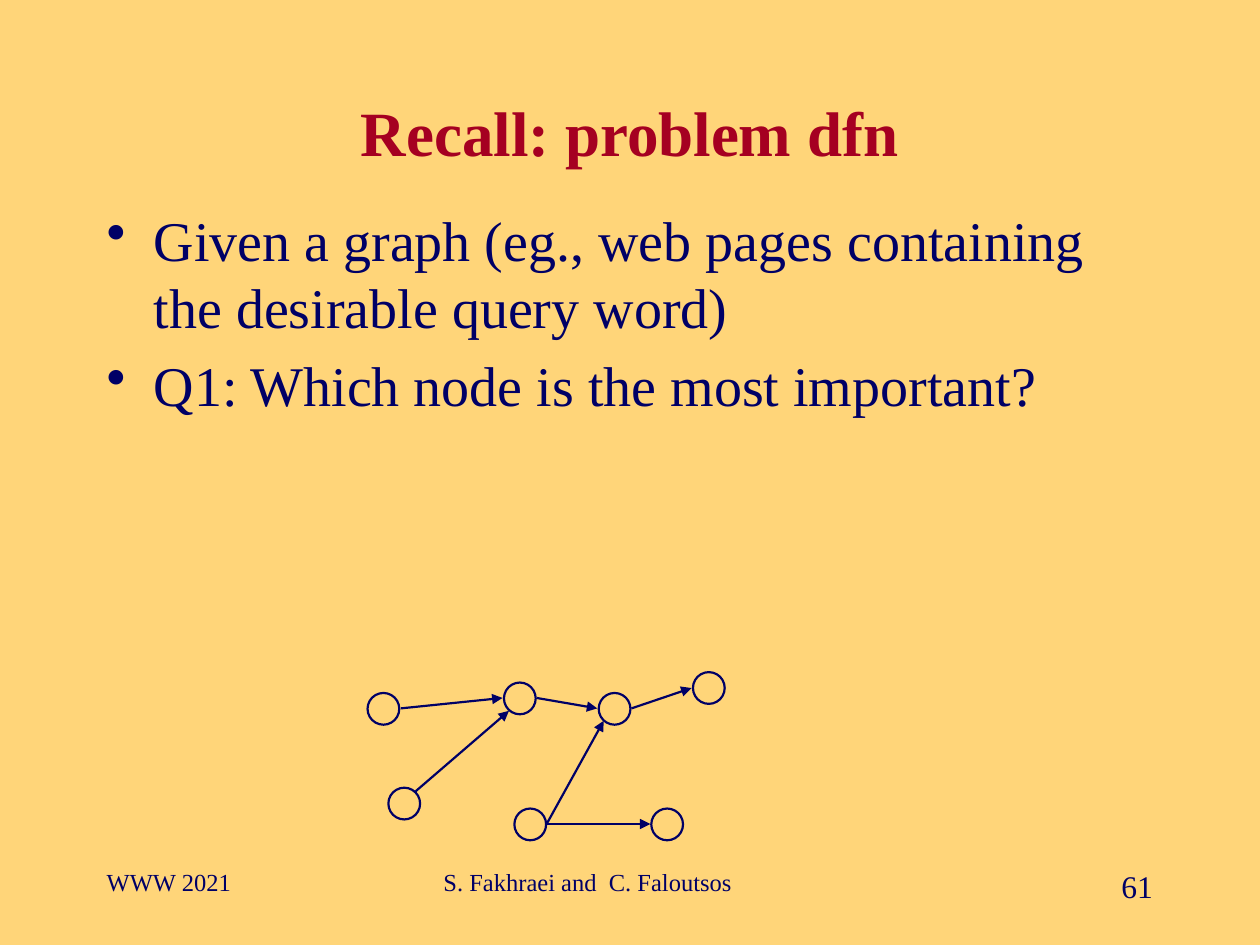
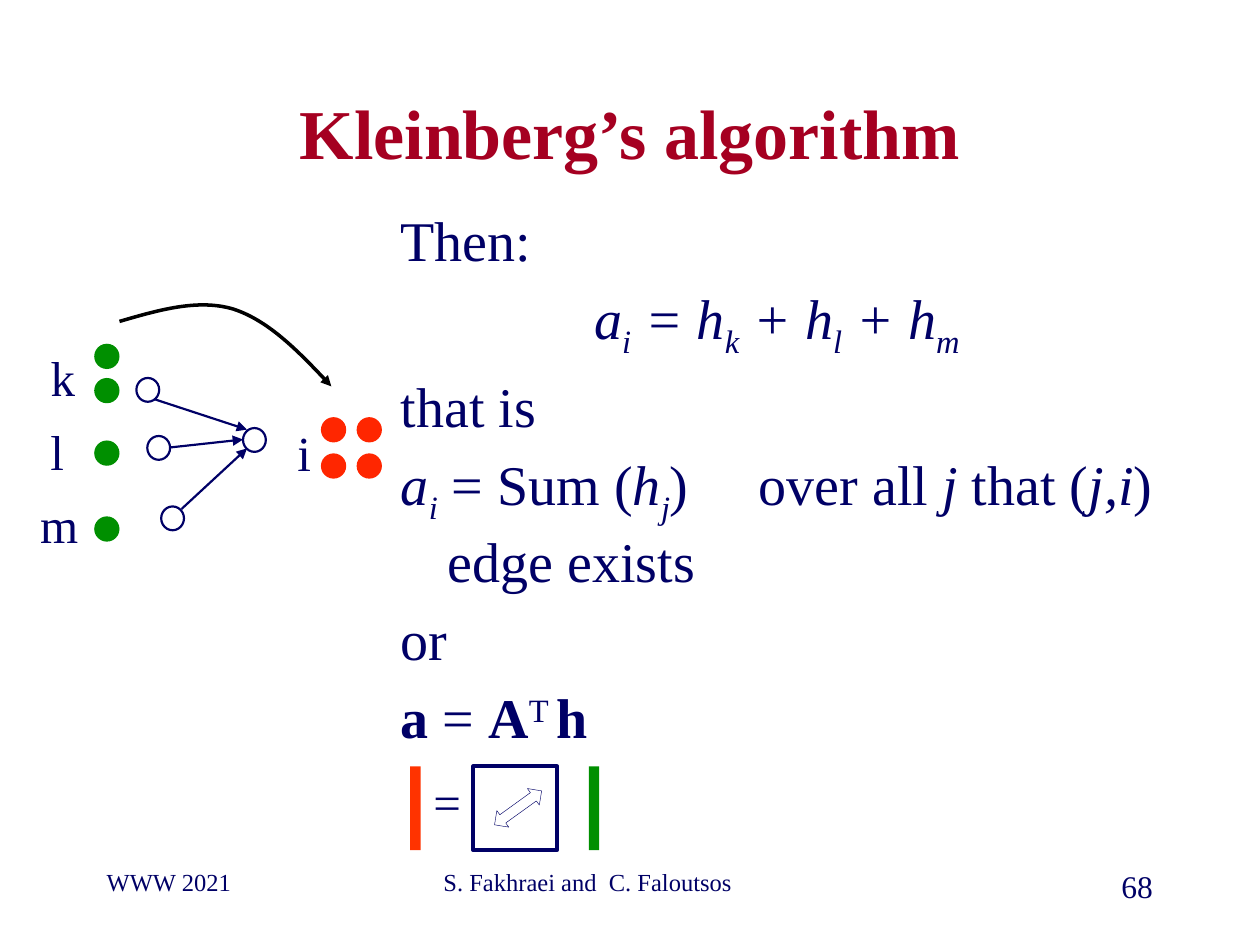
from lxml import etree
from pptx import Presentation
from pptx.dml.color import RGBColor
from pptx.enum.shapes import MSO_CONNECTOR, MSO_SHAPE
from pptx.enum.text import MSO_ANCHOR, PP_ALIGN
from pptx.oxml.ns import qn
from pptx.util import Cm, Pt

SAND = RGBColor(0xFF, 0xD5, 0x79)
WHITE = RGBColor(0xFF, 0xFF, 0xFF)
BLACK = RGBColor(0, 0, 0)
NAVY = RGBColor(0, 0, 0x66)
WINE = RGBColor(0xA5, 0, 0x21)
GREEN = RGBColor(0, 0x8F, 0)
RED = RGBColor(0xFF, 0x26, 0)
FLAME = RGBColor(0xFF, 0x33, 0)

LEFT, CENTER, RIGHT = PP_ALIGN.LEFT, PP_ALIGN.CENTER, PP_ALIGN.RIGHT
TOP, MIDDLE = MSO_ANCHOR.TOP, MSO_ANCHOR.MIDDLE
OVAL, RECT = MSO_SHAPE.OVAL, MSO_SHAPE.RECTANGLE
ARROW = MSO_SHAPE.LEFT_RIGHT_ARROW
STRAIGHT = MSO_CONNECTOR.STRAIGHT

FACE = "Times New Roman"
THIN = 1.25

# Run formats
PLAIN = {}
BOLD = {"bold": True}
ITAL = {"italic": True}
SUB = {"italic": True, "base": -25}
SUP = {"base": 30}
WIDE = {"gap": 32}


class Deck:
    """Holds the shared style and the current slide."""

    def __init__(self):
        self.prs = Presentation()
        self.prs.slide_width, self.prs.slide_height = Cm(25.4), Cm(19.05)

    def page(self, title, size, number, back):
        """Start a slide with its background, title and footers."""
        self.slide = self.prs.slides.add_slide(self.prs.slide_layouts[6])
        self.shapes = self.slide.shapes
        fill = self.slide.background.fill
        fill.solid()
        fill.fore_color.rgb = back
        self.text((1.9, 17.35, 5.28, 1.27), "WWW 2021", 14)
        self.text((8.69, 17.35, 8.05, 1.27), "S. Fakhraei and  C. Faloutsos", 14)
        self.text((18.21, 17.35, 5.28, 1.27), number, 18, RIGHT)
        self.text((1.9, 1.7, 21.59, 1.9), title, size, CENTER, MIDDLE, WINE, BOLD)

    def frame(self, box, anchor=TOP, wrap=True):
        frame = self.shapes.add_textbox(*map(Cm, box)).text_frame
        frame.word_wrap, frame.vertical_anchor = wrap, anchor
        return frame

    def run(self, para, text, size, form=PLAIN, color=NAVY):
        run = para.add_run()
        run.text = text
        font = run.font
        font.color.rgb = color
        extra = {"base": ("baseline", 1000), "gap": ("spc", 100)}
        for key, val in {"name": FACE, "size": Pt(size), **form}.items():
            if key in extra:
                name, scale = extra[key]
                run._r.get_or_add_rPr().set(name, str(val * scale))
            else:
                setattr(font, key, val)

    def text(self, box, text, size, align=LEFT, anchor=TOP, color=NAVY,
             form=PLAIN, wrap=True):
        para = self.frame(box, anchor, wrap).paragraphs[0]
        para.alignment = align
        self.run(para, text, size, form, color)

    def body(self, box, paras, bullet=False):
        """Hanging paragraphs, each an alignment and a list of runs."""
        frame = self.frame(box)
        for num, (align, runs) in enumerate(paras):
            para = frame.add_paragraph() if num else frame.paragraphs[0]
            props = para._p.get_or_add_pPr()
            props.set("marL", str(Cm(0.95)))
            props.set("indent", str(Cm(-0.95)))
            if bullet:
                etree.SubElement(props, qn("a:buChar")).set("char", "•")
            para.alignment = align
            if num:
                para.space_before = Pt(6.4)
            for text, form in runs:
                self.run(para, text, 32, form)

    def shape(self, kind, box, fill=None, line=None, width=THIN, turn=0):
        shape = self.shapes.add_shape(kind, *map(Cm, box))
        shape.shadow.inherit = False
        shape.rotation = turn
        self.paint(shape, fill, line, width)

    def paint(self, shape, fill, line, width):
        for part, color in ((shape.fill, fill), (shape.line.fill, line)):
            if color is None:
                part.background()
            else:
                part.solid()
                part.fore_color.rgb = color
        if line is not None:
            shape.line.width = Pt(width)

    def head(self, shape):
        etree.SubElement(shape.line._get_or_add_ln(), qn("a:tailEnd")).set("type", "triangle")

    def edge(self, *ends):
        line = self.shapes.add_connector(STRAIGHT, *map(Cm, ends))
        line.line.color.rgb = NAVY
        line.line.width = Pt(THIN)
        self.head(line)
        etree.SubElement(line._element.spPr, qn("a:effectLst"))

    def graph(self, nodes, size, edges):
        for spot in nodes:
            self.shape(OVAL, (*spot, *size), line=NAVY)
        for ends in edges:
            self.edge(*ends)

    def dots(self, spots, color):
        for spot in spots:
            self.shape(OVAL, (*spot, 0.51, 0.51), color)

    def curve(self, points):
        """Cubic arrow: a start, then three points for each segment."""
        start, *rest = [(Cm(x), Cm(y)) for x, y in points]
        form = self.shapes.build_freeform(*start)
        form.add_line_segments(rest, close=False)
        shape = form.convert_to_shape()
        shape.shadow.inherit = False
        self.paint(shape, None, BLACK, 2)
        self.head(shape)
        steps = list(shape._element.iter(qn("a:lnTo")))
        for at in range(0, len(steps), 3):
            bend = etree.SubElement(steps[at].getparent(), qn("a:cubicBezTo"))
            for step in steps[at:at + 3]:
                bend.append(step[0])
                step.getparent().remove(step)


def recall(deck):
    deck.page("Recall: problem dfn", 36, "61", SAND)
    lines = ("Given a graph (eg., web pages containing the desirable query word)",
             "Q1: Which node is the most important?")
    deck.body((1.9, 4.01, 21.59, 12.9),
              [(LEFT, [(line, PLAIN)]) for line in lines], bullet=True)
    # Web graph
    deck.graph(
        [(7.83, 15.88), (12.07, 13.97), (10.16, 13.76), (13.13, 16.3),
         (13.97, 13.55), (10.37, 16.3), (7.41, 13.97)],
        (0.64, 0.64),
        [(10.82, 14.07, 12.04, 14.28), (11.02, 16.61, 12.17, 14.53),
         (11.02, 16.61, 13.11, 16.61), (12.73, 14.28, 13.94, 13.87),
         (8.08, 14.28, 10.13, 14.07), (8.38, 15.95, 10.26, 14.33)])


def klein(deck):
    deck.page("Kleinberg’s algorithm", 40, "68", WHITE)
    deck.body((7.83, 4.01, 15.66, 12.9), [
        (LEFT, [("Then:", PLAIN)]),
        (CENTER, [("a", ITAL), ("i", SUB), (" = h", ITAL), ("k", SUB),
                  (" + h", ITAL), ("l", SUB), (" + h", ITAL), ("m", SUB)]),
        (LEFT, [("that is", PLAIN)]),
        (LEFT, [("a", ITAL), ("i", SUB), (" = Sum (", PLAIN), ("h", ITAL),
                ("j", SUB), (")", PLAIN), (" ", WIDE), ("over all ", PLAIN),
                ("j", ITAL), (" that (", PLAIN), ("j,i", ITAL),
                (") edge exists", PLAIN)]),
        (LEFT, [("or", PLAIN)]),
        (LEFT, [("a", BOLD), (" = ", PLAIN), ("A", BOLD), ("T ", SUP),
                ("h", BOLD)]),
    ])
    # Hubs pointing to node i
    deck.graph(
        [(3.25, 10.21), (4.9, 8.63), (2.75, 7.62), (2.97, 8.79)],
        (0.46, 0.48),
        [(3.43, 9.02, 4.9, 8.86), (3.66, 10.26, 4.98, 9.04),
         (3.12, 8.05, 4.98, 8.66)])
    for mark, left, top, width in (("k", 0.76, 6.88, 1.02), ("l", 0.76, 8.36, 0.79),
                                   ("m", 0.56, 9.83, 1.27), ("i", 5.74, 8.38, 0.79)):
        deck.text((left, top, width, 1.45), mark, 28, CENTER, MIDDLE, wrap=False)
    # Vector and matrix equation
    for left, color in ((8.27, FLAME), (11.87, GREEN)):
        deck.shape(RECT, (left, 15.45, 0.21, 1.69), color)
    deck.shape(RECT, (9.54, 15.45, 1.69, 1.69), line=NAVY, width=2.25)
    deck.text((8.48, 15.42, 1.07, 1.45), "=", 28, CENTER, wrap=False)
    deck.shape(ARROW, (9.86, 16.08, 1.17, 0.41), line=NAVY, width=0.25, turn=324.2)
    # Scores and the arrow that carries them
    deck.dots([(1.9, top) for top in (7.62, 6.93, 8.88, 10.41)], GREEN)
    deck.dots([(left, top) for top in (8.41, 9.14) for left in (6.47, 7.19)], RED)
    deck.curve([(2.41, 6.48), (3.2, 6.25), (3.99, 6.02), (4.7, 6.23),
                (5.38, 6.45), (6.05, 7.11), (6.68, 7.79)])


def main():
    deck = Deck()
    recall(deck)
    klein(deck)
    deck.prs.save("out.pptx")


if __name__ == "__main__":
    main()
